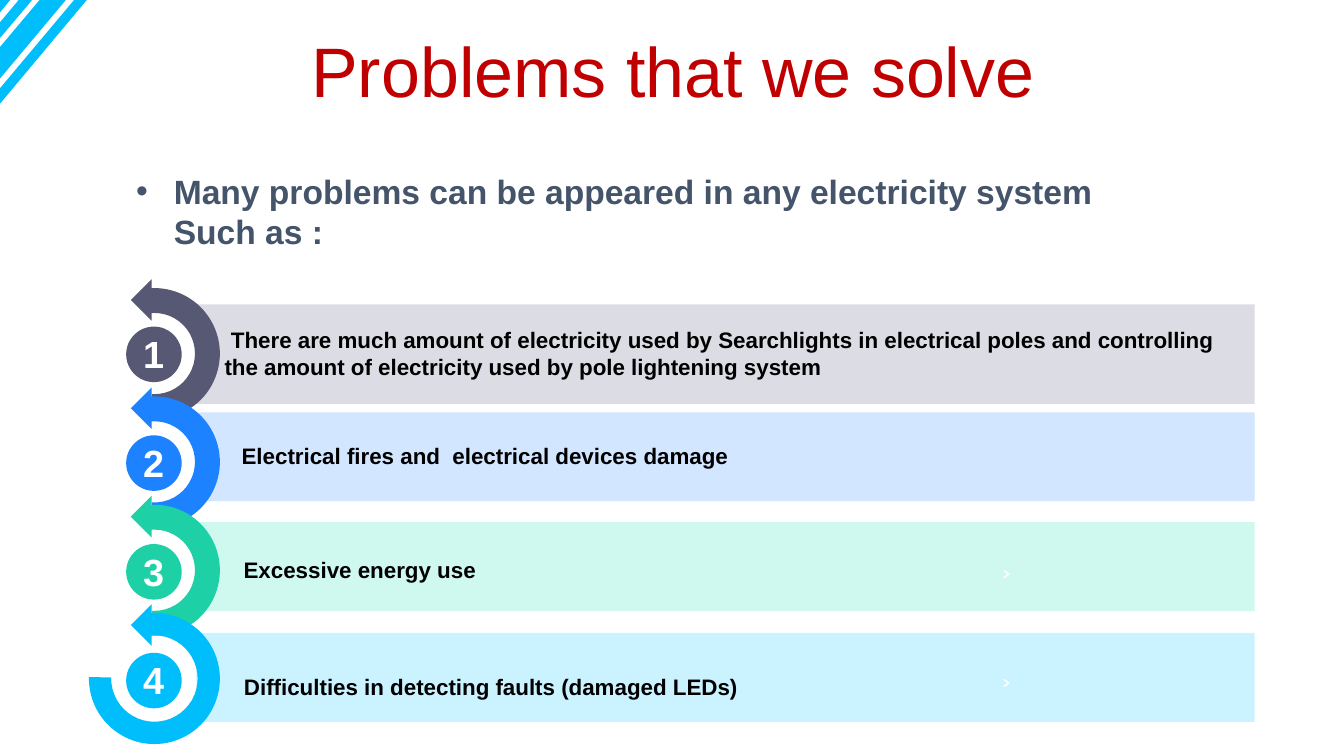
from dataclasses import dataclass

from lxml import etree
from pptx import Presentation
from pptx.dml.color import RGBColor
from pptx.enum.shapes import MSO_SHAPE
from pptx.enum.text import MSO_ANCHOR, PP_ALIGN
from pptx.oxml.ns import qn
from pptx.util import Cm, Pt

RECT = MSO_SHAPE.RECTANGLE
OVAL = MSO_SHAPE.OVAL
ARC = MSO_SHAPE.BLOCK_ARC
TIP = MSO_SHAPE.RIGHT_TRIANGLE
CHEVRON = MSO_SHAPE.CHEVRON
LEFT, CENTER = PP_ALIGN.LEFT, PP_ALIGN.CENTER
TOP, MIDDLE = MSO_ANCHOR.TOP, MSO_ANCHOR.MIDDLE

FONT = "Arial"
STEP = 2.74  # from one numbered circle to the next
TURN = 2.73  # from one arc to the next

COLORS = {
    "sky": "00BDFB",
    "pale sky": "CBF2FF",
    "slate": "565874",
    "pale slate": "DCDCE5",
    "blue": "1C82FF",
    "pale blue": "D2E6FF",
    "green": "1ED0A6",
    "pale green": "CFF8EF",
    "title": "C00000",
    "lead": "44546A",
    "black": "000000",
    "white": "FFFFFF",
}

# Outlines of the corner stripes, in hundredths of a centimetre
STRIPES = [
    [(185, 0), (211, 0), (0, 582), (0, 508)],
    [(99, 0), (0, 269), (0, 196), (71, 0)],
    [(168, 0), (0, 462), (0, 312), (114, 0)],
    [(0, 0), (53, 0), (0, 150)],
]


@dataclass
class Box:
    x: float
    y: float
    w: float
    h: float

    def emu(self) -> list:
        return [Cm(v) for v in (self.x, self.y, self.w, self.h)]


@dataclass
class Problem:
    text: str
    color: str
    bar: Box
    label: Box
    indent: float = 0
    sweep: tuple = (104.73, 2.03, 0.19)
    mark: bool = False


PROBLEMS = [
    Problem("There are much amount of electricity used by Searchlights in electrical "
            "poles and controlling the amount of electricity used by pole lightening system",
            "slate", Box(4.95, 7.67, 26.67, 2.51), Box(5.41, 8.1, 25.48, 1.63), indent=0.16),
    Problem("Electrical fires and  electrical devices damage",
            "blue", Box(4.95, 10.39, 26.67, 2.24), Box(5.84, 11.01, 18.11, 0.94)),
    Problem("Excessive energy use",
            "green", Box(4.95, 13.16, 26.67, 2.24), Box(5.89, 13.89, 12.6, 0.94), mark=True),
    Problem("Difficulties in detecting faults (damaged LEDs)",
            "sky", Box(4.95, 15.95, 26.67, 2.24), Box(5.9, 16.84, 14.63, 0.94),
            sweep=(104.73, 54.83, 0.17), mark=True),
]


def paint(shape, color: str, turn: float = 0) -> None:
    shape.shadow.inherit = False
    shape.fill.solid()
    shape.fill.fore_color.rgb = RGBColor.from_string(COLORS[color])
    shape.line.fill.background()
    shape.rotation = turn


def draw(slide, kind, box: Box, color: str, turn: float = 0, adjust: tuple = ()) -> None:
    shape = slide.shapes.add_shape(kind, *box.emu())
    for i, value in enumerate(adjust):
        shape.adjustments[i] = value
    paint(shape, color, turn)


def write(slide, text: str, box: Box, *, size: float, color: str, bold: bool = True,
          align=LEFT, anchor=TOP, space: float = 1, margin: float = 0,
          indent: float = 0, bullet: str = "") -> None:
    frame = slide.shapes.add_textbox(*box.emu()).text_frame
    frame.word_wrap = True
    frame.vertical_anchor = anchor
    par = frame.paragraphs[0]
    props = par._p.get_or_add_pPr()
    props.set("marL", str(Cm(margin)))
    props.set("indent", str(Cm(indent)))
    if bullet:
        etree.SubElement(props, qn("a:buFont")).set("typeface", FONT)
        etree.SubElement(props, qn("a:buChar")).set("char", bullet)
    par.alignment = align
    par.line_spacing = space
    run = par.add_run()
    run.text = text
    run.font.name = FONT
    run.font.size = Pt(size)
    run.font.bold = bold
    run.font.color.rgb = RGBColor.from_string(COLORS[color])


def draw_stripes(slide) -> None:
    first, *others = STRIPES
    pen = slide.shapes.build_freeform(*first[0], scale=Cm(0.01))
    pen.add_line_segments(first[1:], close=True)
    for start, *rest in others:
        pen.move_to(*start)
        pen.add_line_segments(rest, close=True)
    paint(pen.convert_to_shape(Cm(-0.86), Cm(-0.53)), "sky", 20)


def main() -> None:
    deck = Presentation()
    deck.slide_width, deck.slide_height = Cm(33.87), Cm(19.05)
    slide = deck.slides.add_slide(deck.slide_layouts[6])

    draw_stripes(slide)
    write(slide, "Problems that we solve", Box(0.89, 0.94, 32.16, 2.01), size=50,
          color="title", bold=False, align=CENTER, anchor=MIDDLE, space=0.8)
    write(slide, "Many problems can be appeared in any electricity system Such as :",
          Box(3.18, 4.17, 25.93, 2.31), size=24, color="lead",
          margin=0.95, indent=-0.95, bullet="•")

    for item in PROBLEMS:
        draw(slide, RECT, item.bar, f"pale {item.color}")
    for i, item in enumerate(PROBLEMS):
        draw(slide, OVAL, Box(3.18, 8.23 + STEP * i, 1.4, 1.4), item.color)
        write(slide, str(i + 1), Box(3.3, 8.2 + STEP * i, 1.14, 1.42), size=27,
              color="white", align=CENTER, anchor=MIDDLE)
        draw(slide, ARC, Box(2.24, 7.26 + TURN * i, 3.3, 3.3), item.color, 90, item.sweep)
        draw(slide, TIP, Box(3.45, 7.19 + TURN * i, 0.74, 0.74), item.color, 45)
        write(slide, item.text, item.label, size=16, color="black", indent=item.indent)
        if item.mark:
            draw(slide, CHEVRON, Box(25.27, 8.9 + STEP * i, 0.18, 0.18), "white",
                 adjust=(0.65,))

    deck.save("out.pptx")


if __name__ == "__main__":
    main()
